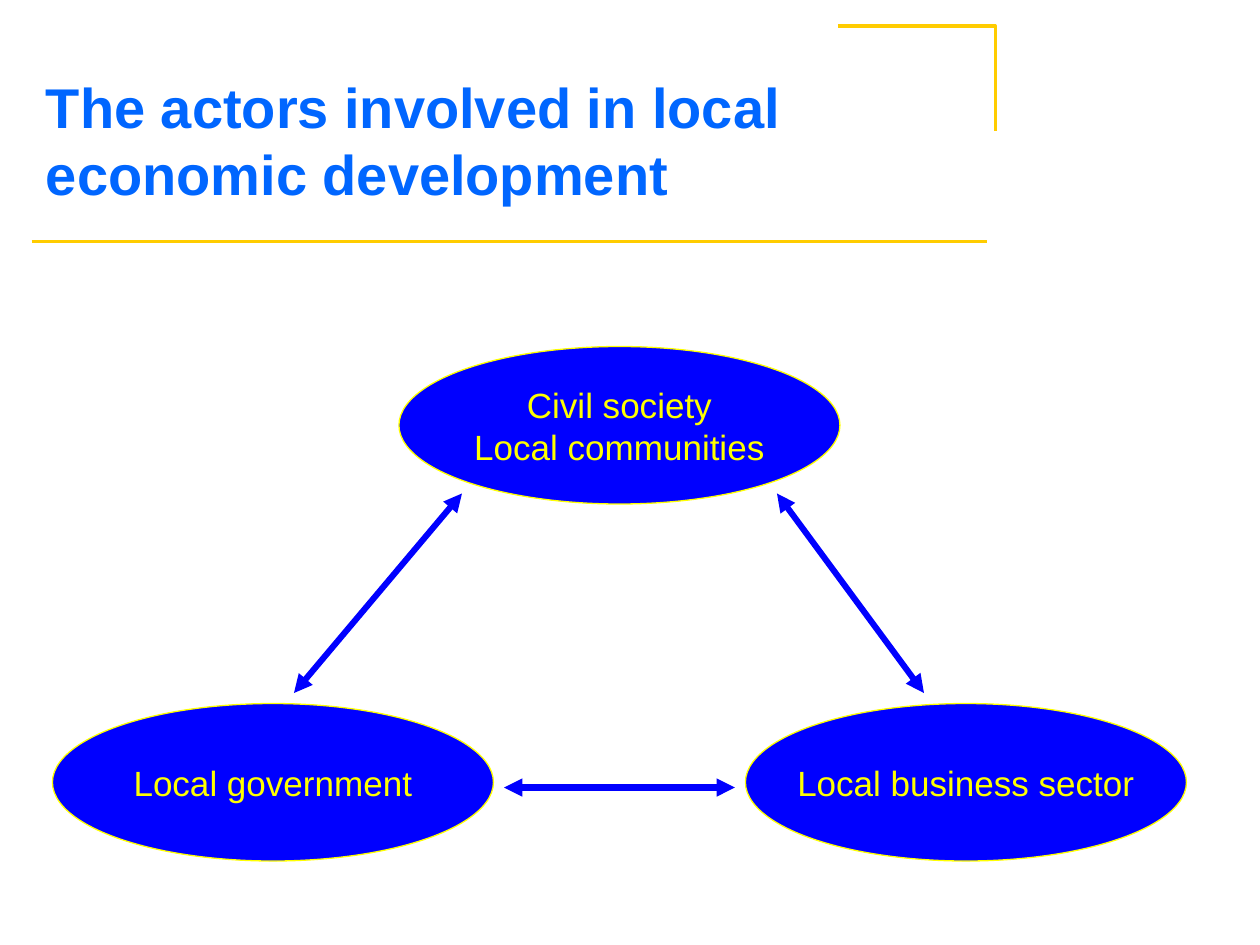
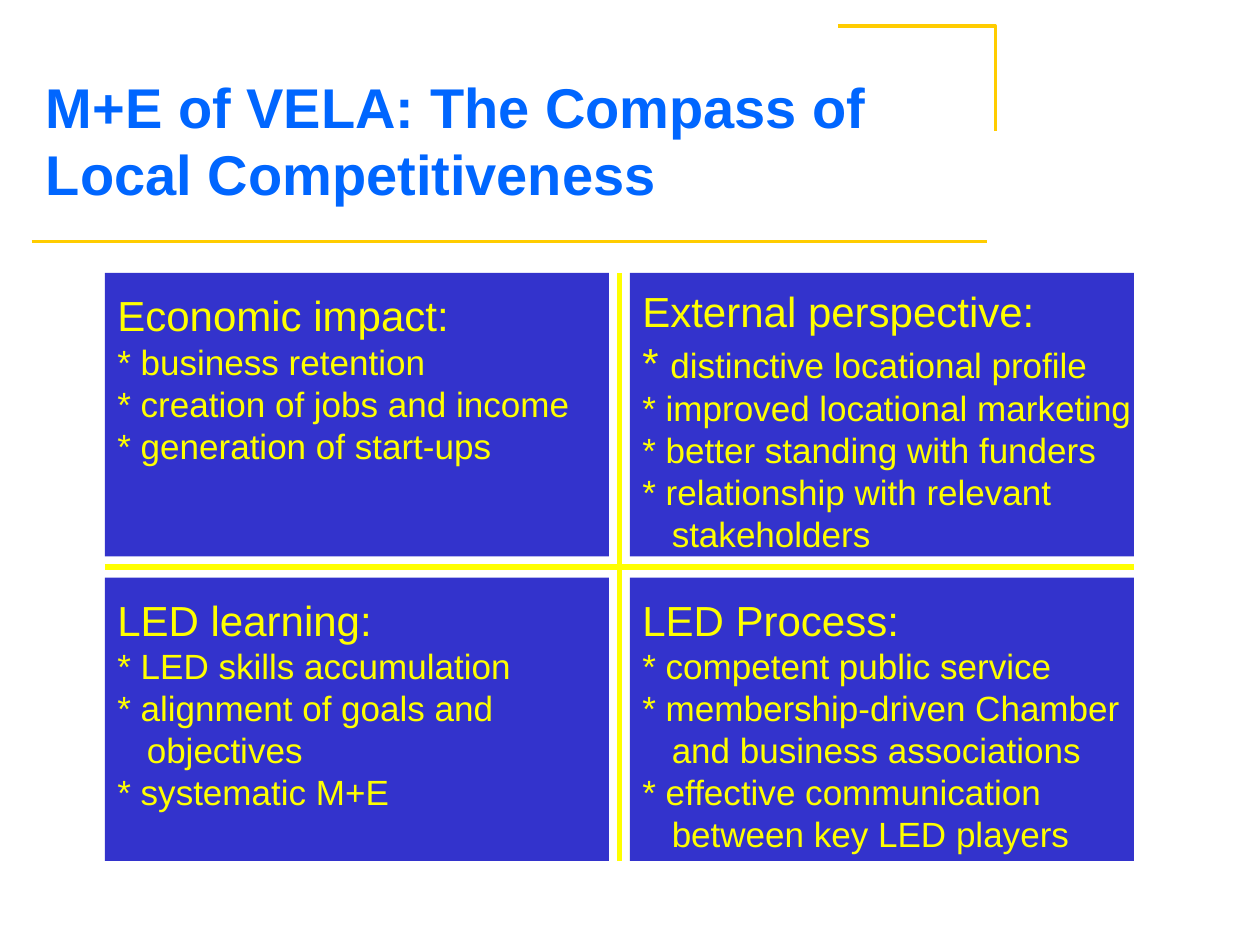
from dataclasses import dataclass

from pptx import Presentation
from pptx import util as u
from pptx.dml.color import RGBColor
from pptx.enum import shapes, text
from pptx.oxml import parse_xml
from pptx.oxml.ns import nsdecls, qn
from pptx.shapes.autoshape import Shape
from pptx.slide import Slide

# Shared look: 120 px to the inch
PX = 7620
FONT = "Arial"
GOLD, TITLE_BLUE = "FFCC00", "0066FF"
BLUE, PANEL_BLUE, YELLOW = "0000FF", "3333CC", "FFFF00"
HEADING_SIZE, BODY_SIZE = 24, 20
HANGING = 28


@dataclass(frozen=True)
class Actor:
    label: str
    left: int
    top: int


@dataclass(frozen=True)
class Line:
    x1: int
    y1: int
    x2: int
    y2: int


@dataclass(frozen=True)
class Panel:
    heading: str
    items: tuple[str, ...]
    column: int
    row: int
    top_inset: int = 16
    first_star_size: int = BODY_SIZE


# Slide 1: actors and the links between them
ACTOR_WIDTH, ACTOR_HEIGHT = 420, 150
ACTORS = (
    Actor("Civil society\nLocal communities", 380, 330),
    Actor("Local business sector", 710, 670),
    Actor("Local government", 50, 670),
)
LINKS = (
    Line(280, 660, 440, 470),
    Line(740, 470, 880, 660),
    Line(480, 750, 700, 750),
)

# Slide 2: two by two compass
GRID_LEFT, GRID_TOP = 100, 260
PANEL_WIDTH, PANEL_HEIGHT, GAP = 480, 270, 20
GRID_RIGHT = GRID_LEFT + 2 * PANEL_WIDTH + GAP
GRID_BOTTOM = GRID_TOP + 2 * PANEL_HEIGHT + GAP
CROSS_X = GRID_LEFT + PANEL_WIDTH + GAP // 2
CROSS_Y = GRID_TOP + PANEL_HEIGHT + GAP // 2
CROSS = (
    Line(CROSS_X, GRID_TOP, CROSS_X, GRID_BOTTOM),
    Line(GRID_LEFT, CROSS_Y, GRID_RIGHT, CROSS_Y),
)
PANELS = (
    Panel("Economic impact:",
          ("business retention", "creation of jobs and income",
           "generation of start-ups"), 0, 0),
    Panel("LED learning:",
          ("LED skills accumulation", "alignment of goals and\vobjectives",
           "systematic M+E"), 0, 1),
    Panel("External perspective:",
          ("distinctive locational profile", "improved locational marketing",
           "better standing with funders",
           "relationship with relevant\vstakeholders"), 1, 0,
          top_inset=12, first_star_size=HEADING_SIZE),
    Panel("LED Process:",
          ("competent public service",
           "membership-driven Chamber\vand business associations",
           "effective communication\vbetween key LED players"), 1, 1),
)


def px(length: int) -> u.Emu:
    return u.Emu(length * PX)


def color(value: str) -> RGBColor:
    return RGBColor.from_string(value)


def style_font(font, size: int, value: str, bold: bool = False) -> None:
    font.name = FONT
    font.size = u.Pt(size)
    font.bold = bold
    font.color.rgb = color(value)


def add_line(slide: Slide, line: Line, value: str, width: float,
             arrows: bool = False) -> None:
    connector = slide.shapes.add_connector(
        shapes.MSO_CONNECTOR.STRAIGHT,
        px(line.x1), px(line.y1), px(line.x2), px(line.y2))
    connector.line.color.rgb = color(value)
    connector.line.width = u.Pt(width)
    if arrows:
        outline = connector.line._get_or_add_ln()
        for end in ("headEnd", "tailEnd"):
            outline.append(parse_xml(f'<a:{end} {nsdecls("a")} type="triangle"/>'))
    properties = connector._element.find(qn("p:spPr"))
    properties.append(parse_xml(f'<a:effectLst {nsdecls("a")}/>'))


def add_filled(slide: Slide, kind: shapes.MSO_SHAPE, left: int, top: int,
               width: int, height: int, fill: str) -> Shape:
    shape = slide.shapes.add_shape(kind, px(left), px(top), px(width), px(height))
    shape.shadow.inherit = False
    shape.fill.solid()
    shape.fill.fore_color.rgb = color(fill)
    shape.line.fill.background()
    return shape


def add_base(presentation: Presentation, title: str, title_width: int) -> Slide:
    """Add a slide with the gold rule, the corner and the title."""
    slide = presentation.slides.add_slide(presentation.slide_layouts[6])
    add_line(slide, Line(30, 230, 940, 230), GOLD, 2)

    builder = slide.shapes.build_freeform(798, 25, scale=PX)
    builder.add_line_segments([(948, 25), (948, 125)], close=False)
    corner = builder.convert_to_shape()
    corner.shadow.inherit = False
    corner.fill.background()
    corner.line.color.rgb = color(GOLD)
    corner.line.width = u.Pt(2)

    box = slide.shapes.add_textbox(px(32), px(43), px(title_width), px(180))
    frame = box.text_frame
    frame.word_wrap = True
    frame.vertical_anchor = text.MSO_ANCHOR.MIDDLE
    frame.text = title
    style_font(frame.paragraphs[0].runs[0].font, 32, TITLE_BLUE, bold=True)
    return slide


def add_actor(slide: Slide, actor: Actor) -> None:
    ellipse = add_filled(slide, shapes.MSO_SHAPE.OVAL, actor.left, actor.top,
                         ACTOR_WIDTH, ACTOR_HEIGHT, BLUE)
    ellipse.line.color.rgb = color(YELLOW)
    ellipse.line.width = u.Pt(0.75)
    frame = ellipse.text_frame
    frame.word_wrap = False
    frame.vertical_anchor = text.MSO_ANCHOR.MIDDLE
    frame.text = actor.label
    for paragraph in frame.paragraphs:
        paragraph.alignment = text.PP_ALIGN.CENTER
        style_font(paragraph.runs[0].font, BODY_SIZE, YELLOW)


def add_panel(slide: Slide, panel: Panel) -> None:
    shape = add_filled(slide, shapes.MSO_SHAPE.RECTANGLE,
                       GRID_LEFT + panel.column * (PANEL_WIDTH + GAP),
                       GRID_TOP + panel.row * (PANEL_HEIGHT + GAP),
                       PANEL_WIDTH, PANEL_HEIGHT, PANEL_BLUE)
    frame = shape.text_frame
    frame.word_wrap = True
    frame.vertical_anchor = text.MSO_ANCHOR.TOP
    frame.margin_top = px(panel.top_inset)
    frame.margin_right = frame.margin_bottom = 0
    frame.text = "\n".join((panel.heading, *(f"* {item}" for item in panel.items)))
    heading, *bullets = frame.paragraphs
    for paragraph in bullets:
        properties = paragraph._p.get_or_add_pPr()
        properties.set("marL", str(px(HANGING)))
        properties.set("indent", str(px(-HANGING)))

    # An enlarged star needs a run of its own
    if panel.first_star_size != BODY_SIZE:
        bullets[0].text = "* "
        bullets[0].add_run().text = panel.items[0]
    for paragraph in frame.paragraphs:
        paragraph.alignment = text.PP_ALIGN.LEFT
        size = HEADING_SIZE if paragraph is heading else BODY_SIZE
        style_font(paragraph.font, size, YELLOW)
        for run in paragraph.runs:
            style_font(run.font, size, YELLOW)
    heading.runs[0].font.size = u.Pt(HEADING_SIZE)
    bullets[0].runs[0].font.size = u.Pt(panel.first_star_size)


def build_actors(presentation: Presentation) -> None:
    slide = add_base(presentation,
                     "The actors involved in local economic development", 898)
    for actor in ACTORS:
        add_actor(slide, actor)
    for link in LINKS:
        add_line(slide, link, BLUE, 3.5, arrows=True)


def build_compass(presentation: Presentation) -> None:
    slide = add_base(presentation,
                     "M+E of VELA: The Compass of Local Competitiveness", 937)
    for line in CROSS:
        add_line(slide, line, YELLOW, 3)
    for panel in PANELS:
        add_panel(slide, panel)


def main() -> None:
    presentation = Presentation()
    presentation.slide_width, presentation.slide_height = px(1200), px(900)
    build_actors(presentation)
    build_compass(presentation)
    presentation.save("out.pptx")


if __name__ == "__main__":
    main()
